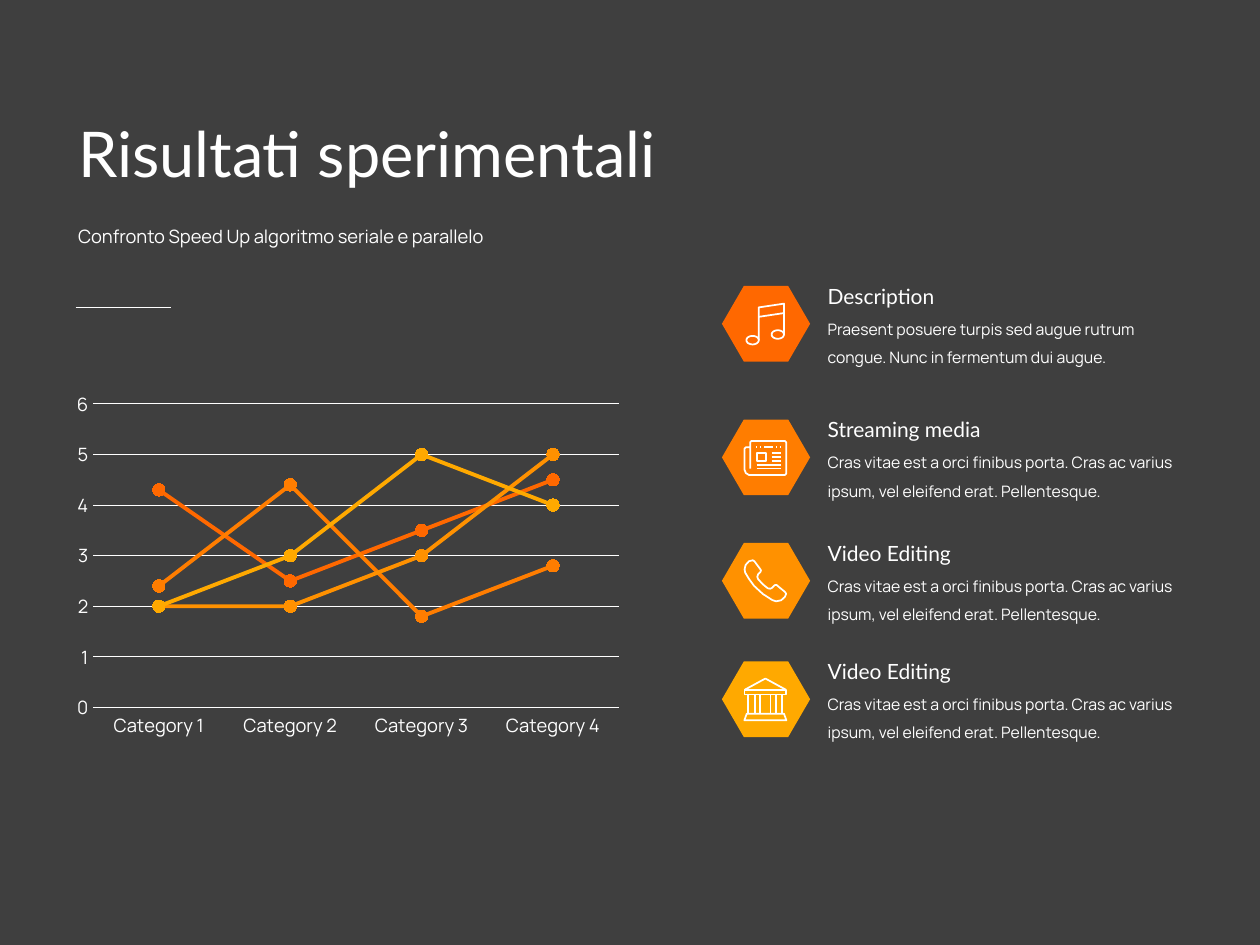
from math import cos, sin, pi
from pptx import Presentation
from pptx.chart.data import CategoryChartData
from pptx.dml.color import RGBColor
from pptx.enum.chart import XL_CHART_TYPE, XL_MARKER_STYLE, XL_TICK_MARK
from pptx.enum.shapes import MSO_CONNECTOR, MSO_SHAPE
from pptx.enum.text import MSO_ANCHOR, MSO_AUTO_SIZE, PP_ALIGN
from pptx.oxml import parse_xml
from pptx.oxml.ns import nsdecls
from pptx.util import Inches, Pt

# Content
TITLE = "Risultati sperimentali"
SUBTITLE = "Confronto Speed Up algoritmo seriale e parallelo"
CRAS = ("Cras vitae est a orci finibus porta. Cras ac varius ipsum, "
        "vel eleifend erat. Pellentesque.")
ITEMS = [  # heading, text, hexagon top, text width, icon
    ("Description", "Praesent posuere turpis sed augue rutrum congue. "
     "Nunc in fermentum dui augue.", 2.27, 2.87, "music"),
    ("Streaming media", CRAS, 3.33, 2.96, "news"),
    ("Video Editing", CRAS, 4.31, 2.96, "phone"),
    ("Video Editing", CRAS, 5.25, 2.96, "bank"),
]
CATEGORIES = ["Category 1", "Category 2", "Category 3", "Category 4"]
SERIES = [(4.3, 2.5, 3.5, 4.5), (2.4, 4.4, 1.8, 2.8), (2, 2, 3, 5), (2, 3, 5, 4)]

THEME = {
    "bg": RGBColor.from_string("3F3F3F"),
    "text": RGBColor.from_string("FFFFFF"),
    "accents": [RGBColor.from_string(c) for c in ("FF6800", "FF7D00", "FF9100", "FFA900")],
    "title": {"name": "Lato", "size": Pt(36)},
    "subtitle": {"name": "Manrope", "size": Pt(10.5)},
    "heading": {"name": "Lato", "size": Pt(12)},
    "text_style": {"name": "Manrope", "size": Pt(9)},
    "axis": {"name": "Manrope", "size": Pt(10.5)},
}


# Icon strokes, in thousandths of an inch from the hexagon's corner
def ellipse(cx, cy, rx, ry, n=32):
    return [(cx + rx * cos(2 * pi * i / n), cy + ry * sin(2 * pi * i / n))
            for i in range(n + 1)]


def box(x1, y1, x2, y2):
    return [(x1, y1), (x2, y1), (x2, y2), (x1, y2), (x1, y1)]


def rule(x1, x2, y):
    return [(x1, y), (x2, y)]


ICONS = {
    "music": [
        [(292, 430), (292, 170), (492, 140), (492, 385)],
        [(292, 245), (492, 215)],
        ellipse(243, 430, 49, 34), ellipse(443, 385, 49, 34),
    ],
    "news": [
        [(225, 390), (225, 180), (235, 170), (500, 170), (510, 180), (510, 430), (500, 440),
         (215, 440), (190, 425), (180, 400), (180, 230), (190, 220), (225, 220)],
        box(278, 267, 350, 330),
        *[rule(395, 467, y) for y in (267, 297, 327)],
        *[rule(275, 467, y) for y in (360, 390)],
        *[rule(x1, x2, 217) for x1, x2 in
          ((270, 278), (302, 310), (335, 403), (428, 436), (460, 468))],
    ],
    "phone": [
        [(180, 210), (188, 175), (215, 145), (245, 137), (258, 145), (310, 215), (307, 228),
         (288, 248), (281, 268), (288, 288), (325, 328), (365, 360), (385, 363), (400, 355),
         (418, 335), (433, 333), (500, 388), (510, 403), (500, 428), (470, 455), (430, 463),
         (400, 453), (325, 405), (255, 340), (215, 285), (185, 235), (180, 210)],
    ],
    "bank": [
        [(180, 225), (345, 135), (510, 225)],
        box(180, 228, 510, 262),
        *[[(x, 262), (x, 415)] for x in (210, 260, 305, 385, 432, 480)],
        [(197, 415), (493, 415), (512, 467), (178, 467), (197, 415)],
    ],
}


def place(shape, left, top, width, height):
    shape.left, shape.top = Inches(left), Inches(top)
    shape.width, shape.height = Inches(width), Inches(height)


def style_font(font, style):
    for name, value in style.items():
        setattr(font, name, value)
    font.color.rgb = THEME["text"]


def set_text(shape, text, style, wrap=True, anchor=MSO_ANCHOR.TOP, **spacing):
    tf = shape.text_frame
    tf.auto_size, tf.word_wrap, tf.vertical_anchor = MSO_AUTO_SIZE.NONE, wrap, anchor
    p = tf.paragraphs[0]
    p.alignment = PP_ALIGN.LEFT
    for name, value in spacing.items():
        setattr(p, name, value)
    r = p.add_run()
    r.text = text
    style_font(r.font, style)
    return p


def add_icon(s, strokes, left, top):
    fb = s.shapes.build_freeform(*strokes[0][0], scale=Inches(1) / 1000)
    for i, (start, *rest) in enumerate(strokes):
        if i:
            fb.move_to(*start)
        fb.add_line_segments(rest, close=False)
    icon = fb.convert_to_shape(Inches(left), Inches(top))
    icon.shadow.inherit = False
    icon.fill.background()
    icon.line.color.rgb, icon.line.width = THEME["text"], Pt(1)


def add_line_chart(s):
    data = CategoryChartData()
    data.categories = CATEGORIES
    for i, values in enumerate(SERIES, 1):
        data.add_series(f"Series {i}", values)
    chart = s.shapes.add_chart(XL_CHART_TYPE.LINE_MARKERS, Inches(0.52), Inches(3.05),
                               Inches(4.48), Inches(2.86), data).chart
    chart.has_legend = chart.has_title = False
    style_font(chart.font, THEME["axis"])
    for axis in (chart.category_axis, chart.value_axis):
        axis.major_tick_mark = axis.minor_tick_mark = XL_TICK_MARK.NONE
        style_font(axis.tick_labels.font, THEME["axis"])
    line = chart.category_axis.format.line
    line.color.rgb, line.width = THEME["text"], Pt(0.75)
    axis = chart.value_axis
    axis.minimum_scale, axis.maximum_scale, axis.major_unit = 0, 6, 1
    axis.format.line.fill.background()
    grid = axis.major_gridlines.format.line
    grid.color.rgb, grid.width = THEME["text"], Pt(0.5)
    for series, color in zip(chart.plots[0].series, THEME["accents"]):
        series.smooth = False
        series.format.line.color.rgb, series.format.line.width = color, Pt(2.25)
        marker = series.marker
        marker.style, marker.size = XL_MARKER_STYLE.CIRCLE, 7
        marker.format.fill.solid()
        marker.format.fill.fore_color.rgb = color
        marker.format.line.color.rgb = THEME["bg"]


def main():
    prs = Presentation()
    prs.slide_width, prs.slide_height = Inches(10), Inches(7.5)
    s = prs.slides.add_slide(prs.slide_layouts[1])
    s.background.fill.solid()
    s.background.fill.fore_color.rgb = THEME["bg"]

    # Title, subtitle and short rule
    title, body = s.shapes.title, s.placeholders[1]
    place(title, 0.52, 0.75, 5.18, 1)
    set_text(title, TITLE, THEME["title"], anchor=MSO_ANCHOR.MIDDLE, line_spacing=0.9)
    place(body, 0.52, 1.65, 4.12, 0.78)
    p = set_text(body, SUBTITLE, THEME["subtitle"], line_spacing=1.5, space_before=Pt(10))
    pPr = p._p.get_or_add_pPr()
    pPr.set("marL", "0")
    pPr.set("indent", "0")
    pPr.append(parse_xml(f"<a:buNone {nsdecls('a')}/>"))
    divider = s.shapes.add_connector(MSO_CONNECTOR.STRAIGHT, Inches(0.6), Inches(2.44),
                                     Inches(1.36), Inches(2.44))
    divider.line.color.rgb, divider.line.width = THEME["text"], Pt(1)
    divider._element.spPr.append(parse_xml(f"<a:effectLst {nsdecls('a')}/>"))

    add_line_chart(s)

    # Hexagons with icons, headings and texts
    for (heading, text, top, width, icon), color in zip(ITEMS, THEME["accents"]):
        hexagon = s.shapes.add_shape(MSO_SHAPE.HEXAGON, Inches(5.73), Inches(top),
                                     Inches(0.7), Inches(0.6))
        hexagon.adjustments[0] = 0.29
        hexagon.shadow.inherit = False
        hexagon.fill.solid()
        hexagon.fill.fore_color.rgb = color
        hexagon.line.fill.background()
        add_icon(s, ICONS[icon], 5.73, top)
        head = s.shapes.add_textbox(Inches(6.47), Inches(top - 0.07), Inches(1.48), Inches(0.3))
        set_text(head, heading, THEME["heading"], wrap=False)
        note = s.shapes.add_textbox(Inches(6.47), Inches(top + 0.14), Inches(width), Inches(0.56))
        set_text(note, text, THEME["text_style"], line_spacing=1.5)

    prs.save("out.pptx")


if __name__ == "__main__":
    main()
